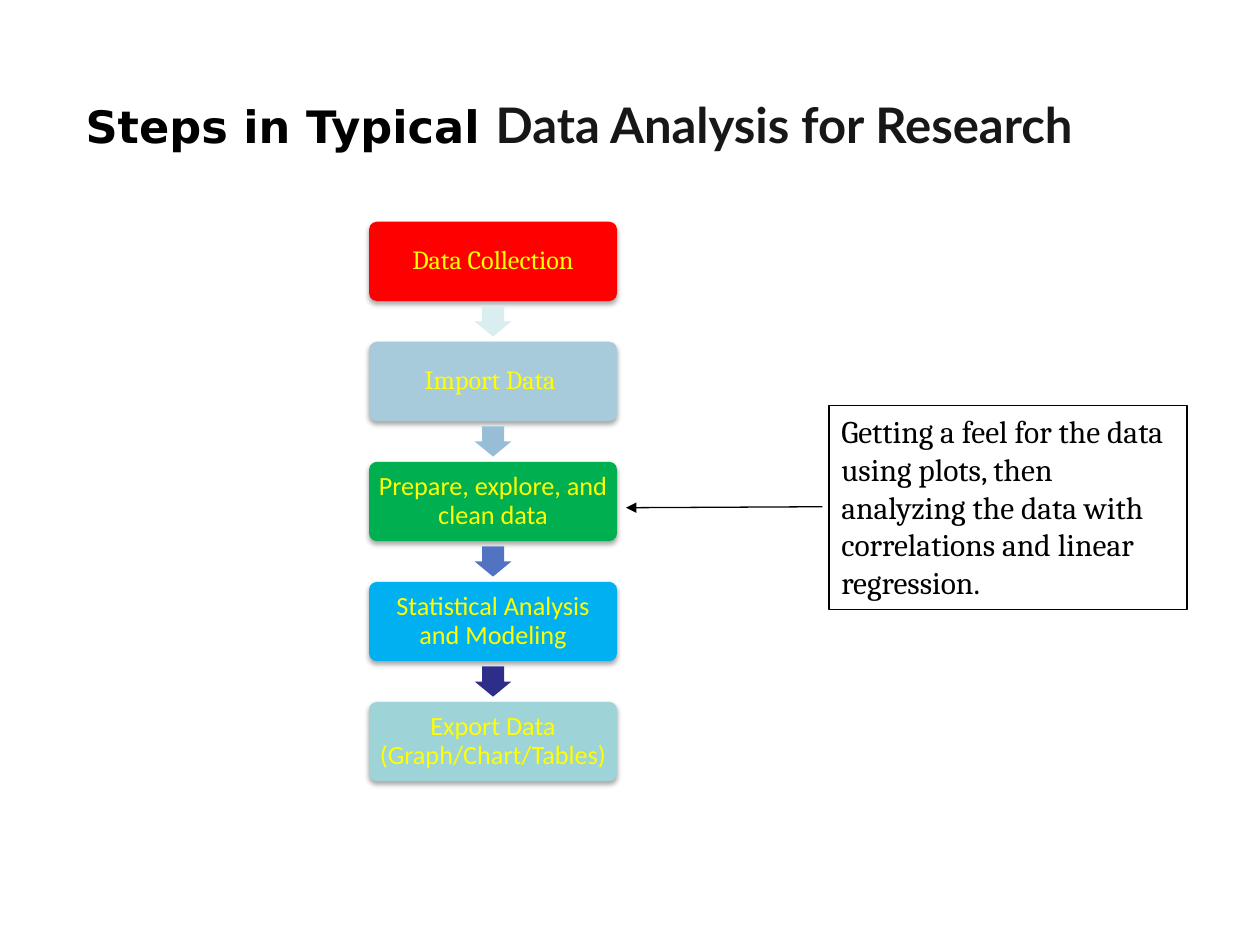
from lxml import etree
from pptx import Presentation
from pptx import util as u
from pptx.dml.color import RGBColor
from pptx.enum import shapes, text
from pptx.oxml import parse_xml
from pptx.oxml.ns import nsdecls, qn

BLACK = RGBColor(0x00, 0x00, 0x00)
CHARCOAL = RGBColor(0x18, 0x17, 0x17)
YELLOW = RGBColor(0xFF, 0xFF, 0x00)
RED = RGBColor(0xFF, 0x00, 0x00)
STEEL = RGBColor(0xA8, 0xCB, 0xDC)
GREEN = RGBColor(0x00, 0xB0, 0x50)
SKY = RGBColor(0x00, 0xB0, 0xF0)
AQUA = RGBColor(0x9E, 0xD3, 0xD7)
ARROW_COLOURS = [
    RGBColor(0xDA, 0xED, 0xEF),
    RGBColor(0x98, 0xBD, 0xD6),
    RGBColor(0x52, 0x73, 0xC1),
    RGBColor(0x2D, 0x2D, 0x8A),
]
STEPS = [
    ("Data Collection", "Cambria", RED),
    ("Import Data ", "Cambria", STEEL),
    ("Prepare, explore, and clean data", "Calibri", GREEN),
    ("Statistical Analysis and Modeling", "Calibri", SKY),
    ("Export Data (Graph/Chart/Tables)", "Calibri", AQUA),
]
NOTE = ("Getting a feel for the data using plots, then analyzing the data "
        "with correlations and linear regression.")
SHADOW = (f'<a:effectLst {nsdecls("a")}><a:outerShdw blurRad="39400" '
          'dist="22900" dir="5400000" rotWithShape="0"><a:srgbClr val="000000">'
          '<a:alpha val="35000"/></a:srgbClr></a:outerShdw></a:effectLst>')


def apply(target, **values):
    for name, value in values.items():
        setattr(target, name, value)


def add_words(paragraph, words, face, size, colour, bold=False):
    run = paragraph.add_run()
    run.text = words
    apply(run.font, name=face, size=u.Pt(size), bold=bold)
    run.font.color.rgb = colour


def add_block(slide, preset, box, colour=None):
    block = slide.shapes.add_shape(preset, *map(u.Cm, box))
    block.shadow.inherit = False
    if colour is None:
        block.fill.background()
    else:
        block.fill.solid()
        block.fill.fore_color.rgb = colour
        block.line.fill.background()
    return block


def place_heading(slide, box):
    heading = slide.shapes.title
    apply(heading, **dict(zip(("left", "top", "width", "height"), map(u.Cm, box))))
    apply(heading.text_frame, vertical_anchor=text.MSO_ANCHOR.TOP, word_wrap=True,
          auto_size=text.MSO_AUTO_SIZE.NONE, margin_top=u.Cm(0.2))
    line = heading.text_frame.paragraphs[0]
    line.alignment = text.PP_ALIGN.LEFT
    add_words(line, "Steps in Typical ", "DejaVu Sans", 25.5, BLACK, True)
    add_words(line, "Data Analysis for Research", "Lato", 28, CHARCOAL, True)


def place_step(slide, box, words, face, colour):
    step = add_block(slide, shapes.MSO_SHAPE.ROUNDED_RECTANGLE, box, colour)
    step.adjustments[0] = 0.1
    effects = step._element.spPr.find(qn("a:effectLst"))
    effects.getparent().replace(effects, parse_xml(SHADOW))
    margins = ("margin_left", "margin_top", "margin_right", "margin_bottom")
    apply(step.text_frame, word_wrap=True, vertical_anchor=text.MSO_ANCHOR.MIDDLE,
          **dict.fromkeys(margins, u.Cm(0.15)))
    line = step.text_frame.paragraphs[0]
    apply(line, alignment=text.PP_ALIGN.CENTER, line_spacing=0.9)
    add_words(line, words, face, 15, YELLOW)


def place_flow(slide, box):
    left, top, width, height = box
    step_height = 1.6
    pitch = (height - step_height) / (len(STEPS) - 1)
    arrow_width, arrow_height = 0.74, 0.61
    arrow_left = left + (width - arrow_width) / 2
    arrow_drop = (step_height + pitch - arrow_height) / 2
    for index, step in enumerate(STEPS):
        step_top = top + index * pitch
        place_step(slide, (left, step_top, width, step_height), *step)
        if index < len(ARROW_COLOURS):
            arrow = add_block(
                slide, shapes.MSO_SHAPE.DOWN_ARROW,
                (arrow_left, step_top + arrow_drop, arrow_width, arrow_height),
                ARROW_COLOURS[index])
            arrow.adjustments[0] = 0.6
            arrow.adjustments[1] = 0.5


def place_note(slide, box):
    left, top, width, height = box
    note = add_block(slide, shapes.MSO_SHAPE.RECTANGLE, box)
    note.line.color.rgb = BLACK
    note.line.width = u.Pt(0.75)
    apply(note.text_frame, word_wrap=True, vertical_anchor=text.MSO_ANCHOR.TOP)
    line = note.text_frame.paragraphs[0]
    line.alignment = text.PP_ALIGN.LEFT
    add_words(line, NOTE, "Cambria", 18, BLACK)

    middle = top + height / 2
    pointer = slide.shapes.add_connector(
        shapes.MSO_CONNECTOR.STRAIGHT,
        *map(u.Cm, (left - 0.13, middle - 0.02, left - 4.09, middle)))
    pointer.line.color.rgb = BLACK
    pointer.line.width = u.Pt(0.75)
    etree.SubElement(pointer.line._get_or_add_ln(), qn("a:tailEnd"), type="triangle")
    etree.SubElement(pointer._element.spPr, qn("a:effectLst"))


def main():
    deck = Presentation()
    apply(deck, slide_width=u.Cm(25.4), slide_height=u.Cm(19.05))
    slide = deck.slides.add_slide(deck.slide_layouts[5])
    place_heading(slide, (1.47, 1.7, 21.6, 1.9))
    place_flow(slide, (7.44, 4.47, 5, 11.28))
    place_note(slide, (16.71, 8.18, 7.22, 4.11))
    deck.save("out.pptx")


if __name__ == "__main__":
    main()
